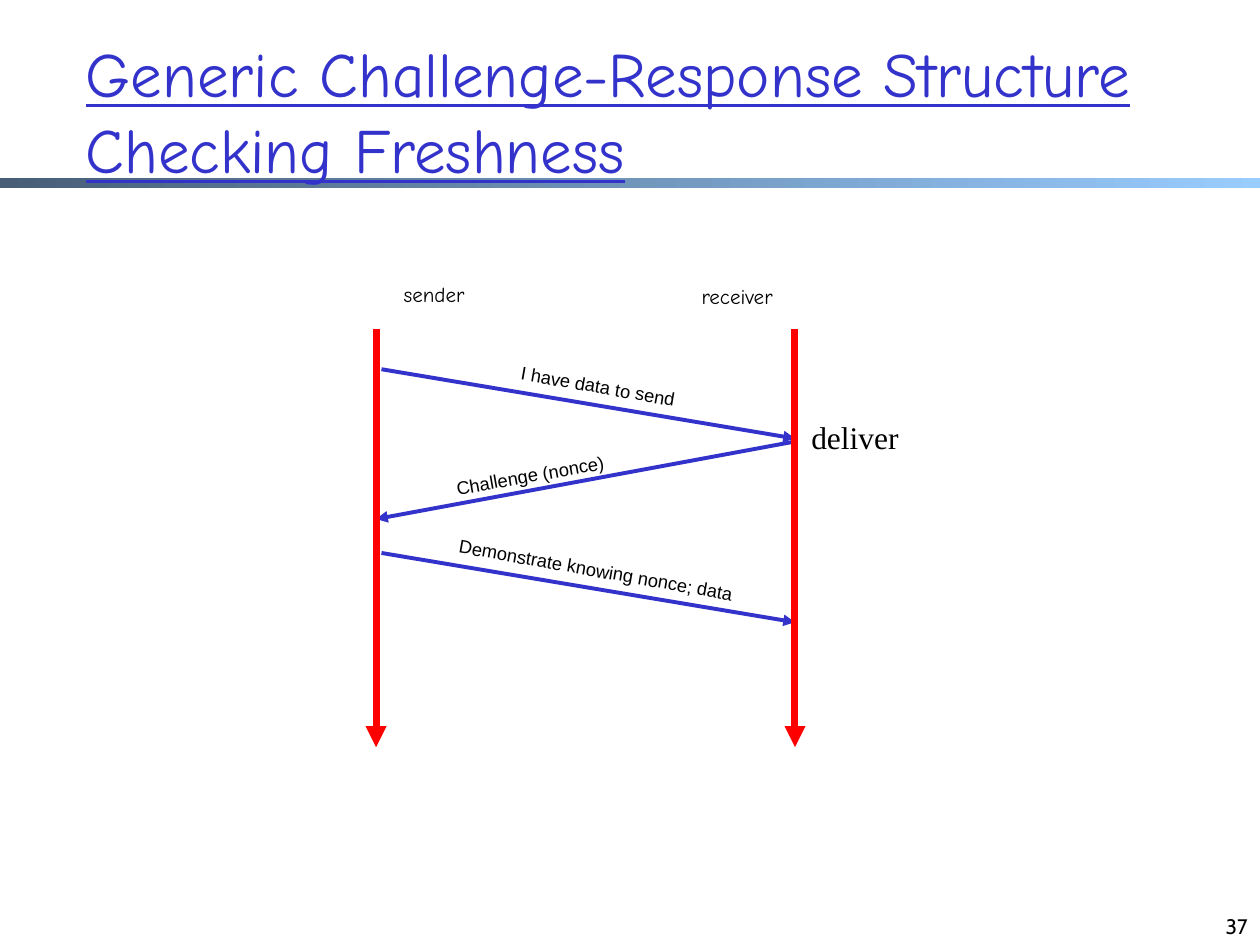
"""Builds a slide showing a challenge-response exchange between sender and receiver."""
from lxml import etree
from pptx import Presentation
from pptx.dml.color import RGBColor
from pptx.enum import shapes, text
from pptx.oxml import ns
from pptx.util import Pt

BLUE = RGBColor(0x33, 0x33, 0xCC)
RED = RGBColor(0xFF, 0x00, 0x00)
BLACK = RGBColor(0x00, 0x00, 0x00)
BAR_START = RGBColor(0x47, 0x5E, 0x76)
BAR_END = RGBColor(0x99, 0xCC, 0xFF)

TIMELINE_TOP, TIMELINE_BOTTOM = 188, 427
SENDER_X, RECEIVER_X = 214.9, 454.3


def add_label(slide, words, left, top, width, height, *, size, font="Comic Neue",
              color=BLACK, underline=False, wrap=False, rotation=0,
              align=text.PP_ALIGN.LEFT, anchor=text.MSO_ANCHOR.TOP):
    label = slide.shapes.add_textbox(Pt(left), Pt(top), Pt(width), Pt(height))
    label.rotation = rotation
    frame = label.text_frame
    frame.word_wrap = wrap
    frame.vertical_anchor = anchor
    paragraph = frame.paragraphs[0]
    paragraph.alignment = align
    run = paragraph.add_run()
    run.text = words
    run.font.size = Pt(size)
    run.font.name = font
    run.font.color.rgb = color
    run.font.underline = underline


def add_arrow(slide, start, end, color, weight):
    arrow = slide.shapes.add_connector(
        shapes.MSO_CONNECTOR.STRAIGHT, *(Pt(length) for length in (*start, *end)))
    arrow.line.color.rgb = color
    arrow.line.width = Pt(weight)
    etree.SubElement(arrow.line._get_or_add_ln(), ns.qn("a:tailEnd"), type="triangle")
    etree.SubElement(arrow._element.spPr, ns.qn("a:effectLst"))


def add_title_bar(slide):
    bar = slide.shapes.add_shape(
        shapes.MSO_SHAPE.RECTANGLE, Pt(0), Pt(101.5), Pt(720), Pt(6))
    bar.shadow.inherit = False
    bar.line.fill.background()
    bar.fill.gradient()
    bar.fill.gradient_angle = 0
    for stop, color, position in zip(bar.fill.gradient_stops, (BAR_START, BAR_END), (0, 1)):
        stop.color.rgb = color
        stop.position = position


def add_message(slide, words, start, end, label_box, rotation):
    add_arrow(slide, start, end, BLUE, 2.25)
    add_label(slide, words, *label_box, size=10.5, font="Arial", rotation=rotation)


def main():
    deck = Presentation()
    deck.slide_width, deck.slide_height = Pt(720), Pt(540)
    slide = deck.slides.add_slide(deck.slide_layouts[6])

    add_title_bar(slide)
    add_label(slide, "Generic Challenge-Response Structure Checking Freshness",
              42, 18, 612, 90, size=36, color=BLUE, underline=True, wrap=True,
              anchor=text.MSO_ANCHOR.MIDDLE)

    add_label(slide, "sender", 223.6, 157.5, 53, 21.6, size=12)
    add_label(slide, "receiver", 393.8, 158.5, 62, 21.6, size=12)

    messages = [
        ("I have data to send", (218, 211), (RECEIVER_X, 250.6),
         (290.2, 211, 105, 20), 10),
        ("Challenge (nonce)", (452.2, 252.7), (SENDER_X, 296.6),
         (252.7, 256.3, 161.3, 20), 350),
        ("Demonstrate knowing nonce; data", (218, 316), (RECEIVER_X, 355.6),
         (254.2, 316, 175.7, 20), 10),
    ]
    for message in messages:
        add_message(slide, *message)

    for x in (SENDER_X, RECEIVER_X):
        add_arrow(slide, (x, TIMELINE_TOP), (x, TIMELINE_BOTTOM), RED, 4)

    add_label(slide, "deliver", 456.5, 235.4, 65, 29, size=18, font="Times New Roman")
    add_label(slide, "37", 552, 504, 168, 36, size=12, font="Cabin", wrap=True,
              align=text.PP_ALIGN.RIGHT, anchor=text.MSO_ANCHOR.BOTTOM)

    deck.save("out.pptx")


if __name__ == "__main__":
    main()
